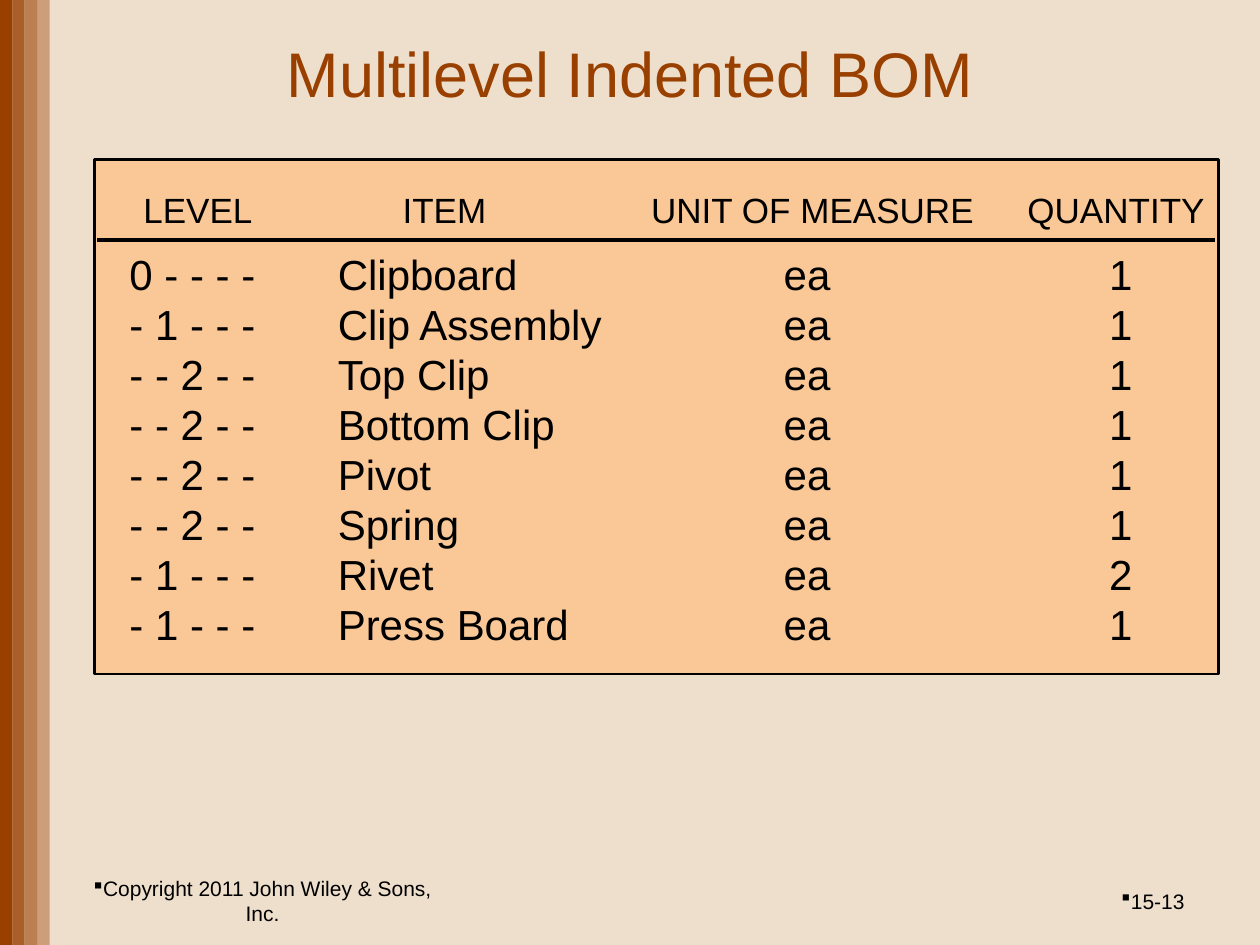
from dataclasses import dataclass

from lxml.etree import SubElement
from pptx import Presentation
from pptx.dml.color import RGBColor
from pptx.enum.shapes import MSO_CONNECTOR, MSO_SHAPE
from pptx.enum.text import MSO_ANCHOR as Anchor, MSO_AUTO_SIZE as AutoSize, PP_ALIGN as Align
from pptx.oxml.ns import qn
from pptx.util import Cm, Pt


@dataclass(frozen=True)
class Theme:
    font: str = "Arial"
    background: str = "EEDFCC"
    accent: str = "994000"
    panel: str = "FAC896"
    ink: str = "000000"
    title_size: int = 36
    body_size: int = 24
    heading_size: int = 20
    footer_size: int = 12


HEADINGS = ("LEVEL", "ITEM", "UNIT OF MEASURE", "QUANTITY")
HEADING_TABS = ((6.07, "ctr"), (13.49, "ctr"), (19.61, "ctr"))
PARTS = (
    ("0 - - - -", "Clipboard", 1),
    ("- 1 - - -", "Clip Assembly", 1),
    ("- - 2 - -", "Top Clip", 1),
    ("- - 2 - -", "Bottom Clip", 1),
    ("- - 2 - -", "Pivot", 1),
    ("- - 2 - -", "Spring", 1),
    ("- 1 - - -", "Rivet", 2),
    ("- 1 - - -", "Press Board", 1),
)
PART_TABS = ((1.85, "ctr"), (4.78, "l"), (13.77, "l"), (20.8, "r"))


class SlideBuilder:
    def __init__(self, deck, theme):
        self.theme = theme
        self.slide = deck.slides.add_slide(deck.slide_layouts[5])
        fill = self.slide.background.fill
        fill.solid()
        fill.fore_color.rgb = RGBColor.from_string(theme.background)

    def style(self, para, size, color):
        para.font.name = self.theme.font
        para.font.size = Pt(size)
        para.font.color.rgb = RGBColor.from_string(color)

    def title(self, text, left, top, width, height):
        box = self.slide.shapes.title
        box.left, box.top, box.width, box.height = map(Cm, (left, top, width, height))
        frame = box.text_frame
        frame.text = text
        frame.vertical_anchor = Anchor.MIDDLE
        para = frame.paragraphs[0]
        para.alignment = Align.CENTER
        self.style(para, self.theme.title_size, self.theme.accent)

    def rectangle(self, left, top, width, height, color, opacity=100, border=None):
        shape = self.slide.shapes.add_shape(
            MSO_SHAPE.RECTANGLE, *map(Cm, (left, top, width, height)))
        shape.shadow.inherit = False
        shape.fill.solid()
        shape.fill.fore_color.rgb = RGBColor.from_string(color)
        if opacity < 100:
            tint = shape.fill._xPr.find(".//" + qn("a:srgbClr"))
            SubElement(tint, qn("a:alpha"), val=str(opacity * 1000))
        if border:
            shape.line.color.rgb = RGBColor.from_string(self.theme.ink)
            shape.line.width = Pt(border)
        else:
            shape.line.fill.background()

    def rule(self, left, right, y, weight):
        line = self.slide.shapes.add_connector(
            MSO_CONNECTOR.STRAIGHT, Cm(left), Cm(y), Cm(right), Cm(y))
        line.line.color.rgb = RGBColor.from_string(self.theme.ink)
        line.line.width = Pt(weight)
        SubElement(line._element.spPr, qn("a:effectLst"))

    def text_box(self, left, top, width, height):
        box = self.slide.shapes.add_textbox(*map(Cm, (left, top, width, height)))
        box.text_frame.word_wrap = True
        return box.text_frame

    def tabbed_lines(self, rows, tabs, size, place, wrap=True):
        """Write each row as one paragraph, its cells set on tab stops (cm, alignment)."""
        frame = self.text_box(*place)
        frame.word_wrap = wrap
        frame.auto_size = AutoSize.SHAPE_TO_FIT_TEXT
        for index, row in enumerate(rows):
            para = frame.add_paragraph() if index else frame.paragraphs[0]
            para.text = "\t".join(row)
            para.line_spacing = 0.8
            if index:
                para.space_before = Pt(round(size * 0.23, 1))
            stops = SubElement(para._p.get_or_add_pPr(), qn("a:tabLst"))
            for position, alignment in tabs:
                SubElement(stops, qn("a:tab"), pos=str(Cm(position)), algn=alignment)
            self.style(para, size, self.theme.ink)

    def footer(self, text, left, width, alignment):
        frame = self.text_box(left, 17.65, width, 1.02)
        frame.vertical_anchor = Anchor.MIDDLE
        para = frame.paragraphs[0]
        para.text = text
        para.alignment = alignment
        properties = para._p.get_or_add_pPr()
        properties.set("marL", "0")
        properties.set("indent", "0")
        SubElement(properties, qn("a:buFont"), typeface="Wingdings")
        SubElement(properties, qn("a:buChar"), char="§")
        self.style(para, self.theme.footer_size, self.theme.ink)


def main():
    theme = Theme()
    deck = Presentation()
    deck.slide_width, deck.slide_height = Cm(25.4), Cm(19.05)
    page = SlideBuilder(deck, theme)

    stripe = 0.25
    for index, opacity in enumerate((100, 80, 60, 40)):
        page.rectangle(index * stripe, 0, stripe, 19.05, theme.accent, opacity)

    page.title("Multilevel Indented BOM", 1.27, 0.56, 22.86, 1.78)
    page.footer("Copyright 2011 John Wiley & Sons, Inc.", 1.27, 8.05, Align.CENTER)
    page.footer("15-13", 18.21, 5.92, Align.RIGHT)

    page.rectangle(1.9, 3.22, 22.66, 10.37, theme.panel, border=1.5)
    part_rows = [("", level, item, "ea", str(count)) for level, item, count in PARTS]
    page.tabbed_lines(part_rows, PART_TABS, theme.body_size, (1.78, 5.08, 21.34, 8.2))
    page.tabbed_lines([HEADINGS], HEADING_TABS, theme.heading_size,
                      (2.64, 3.84, 21.92, 0.94), wrap=False)
    page.rule(1.96, 24.49, 4.83, 2.25)

    deck.save("out.pptx")


if __name__ == "__main__":
    main()
